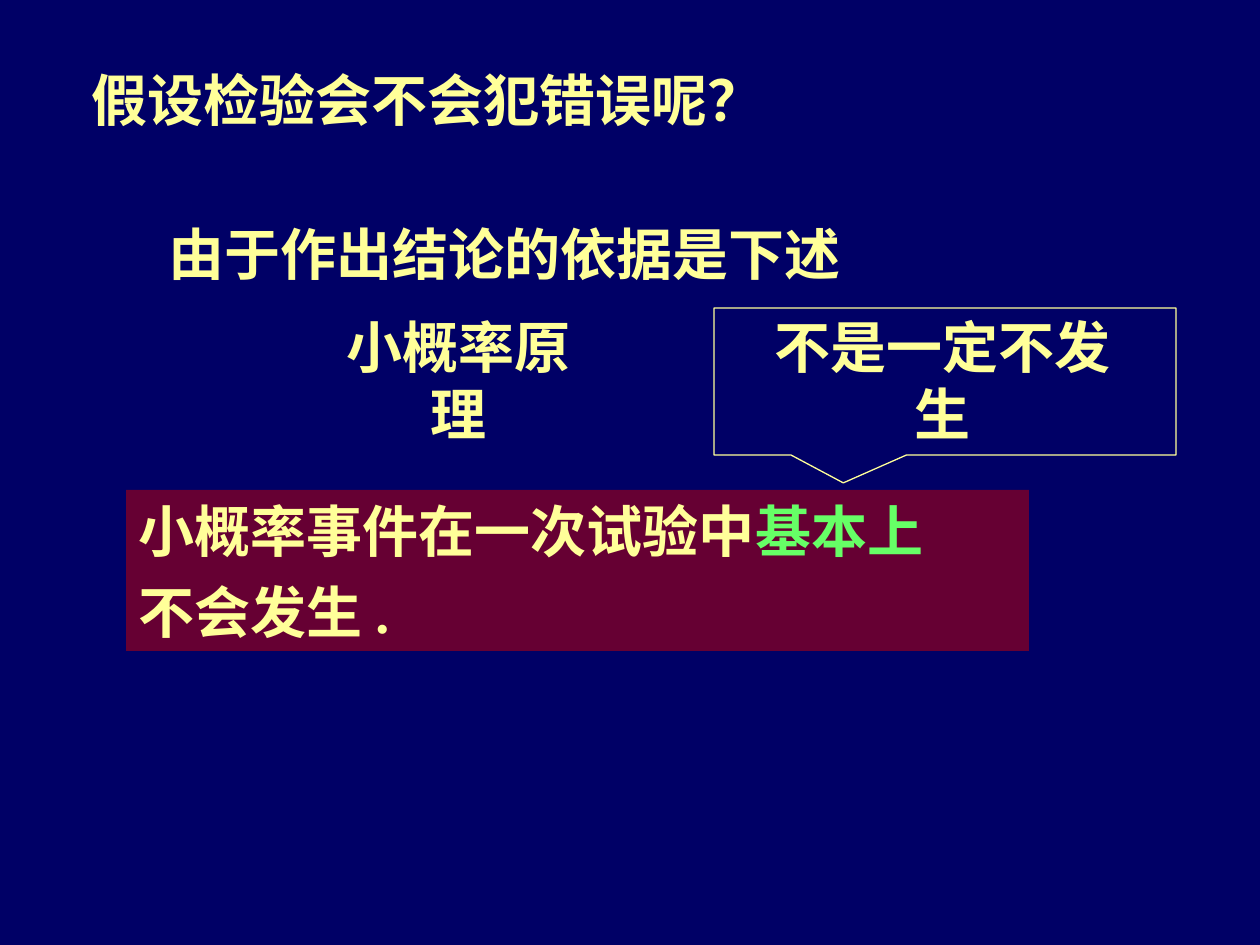
from pptx import Presentation
from pptx.dml.color import RGBColor
from pptx.enum.shapes import MSO_SHAPE as Shape
from pptx.enum.text import MSO_ANCHOR as Anchor, PP_ALIGN as Align
from pptx.util import Pt

PX = 914400 / 126  # EMU per pixel
NAVY = RGBColor(0x00, 0x00, 0x66)
YELLOW = RGBColor(0xFF, 0xFF, 0x99)
MAROON = RGBColor(0x66, 0x00, 0x33)
GREEN = RGBColor(0x66, 0xFF, 0x66)
FONT = {"name": "Times New Roman", "size": Pt(32), "bold": True}
LINE_HEIGHT = 81


def px(*lengths):
    return [round(length * PX) for length in lengths]


def add_run(paragraph, words, color=YELLOW):
    run = paragraph.add_run()
    run.text = words
    for key, value in FONT.items():
        setattr(run.font, key, value)
    run.font.color.rgb = color


def add_label(shapes, left, top, width, words):
    """One centred line of text that does not wrap."""
    frame = shapes.add_textbox(*px(left, top, width, LINE_HEIGHT)).text_frame
    frame.word_wrap = False
    frame.vertical_anchor = Anchor.MIDDLE
    line = frame.paragraphs[0]
    line.alignment = Align.CENTER
    add_run(line, words)


def add_panel(shapes, kind, box, fill):
    panel = shapes.add_shape(kind, *px(*box))
    panel.shadow.inherit = False
    panel.fill.solid()
    panel.fill.fore_color.rgb = fill
    panel.line.fill.background()
    return panel


def add_principle(shapes):
    """The principle, with its key words in green."""
    panel = add_panel(shapes, Shape.RECTANGLE, (126, 490, 903, 161), MAROON)
    frame = panel.text_frame
    frame.word_wrap = True
    frame.vertical_anchor = Anchor.MIDDLE
    first, second = frame.paragraphs[0], frame.add_paragraph()
    first.alignment = second.alignment = Align.LEFT
    add_run(first, "小概率事件在一次试验中")
    add_run(first, "基本上", GREEN)
    second.line_spacing = 1.2
    add_run(second, "不会发生 .")


def add_remark(shapes):
    """Callout that points at the key words."""
    remark = shapes.add_group_shape().shapes
    callout = add_panel(remark, Shape.RECTANGULAR_CALLOUT, (714, 308, 462, 147), NAVY)
    callout.adjustments[0] = -0.22
    callout.adjustments[1] = 0.69
    callout.line.color.rgb = YELLOW
    callout.line.width = Pt(0.75)
    add_label(remark, 734, 339, 417, "不是一定不发生")


def main():
    deck = Presentation()
    deck.slide_width, deck.slide_height = px(1260, 945)
    slide = deck.slides.add_slide(deck.slide_layouts[6])
    slide.background.fill.solid()
    slide.background.fill.fore_color.rgb = NAVY

    # Question and reasoning
    for left, top, width, words in (
        (79, 59, 698, "假设检验会不会犯错误呢？"),
        (156, 213, 698, "由于作出结论的依据是下述"),
        (306, 339, 305, "小概率原理"),
    ):
        add_label(slide.shapes, left, top, width, words)

    # Principle and the remark on it
    add_principle(slide.shapes)
    add_remark(slide.shapes)
    deck.save("out.pptx")


if __name__ == "__main__":
    main()
